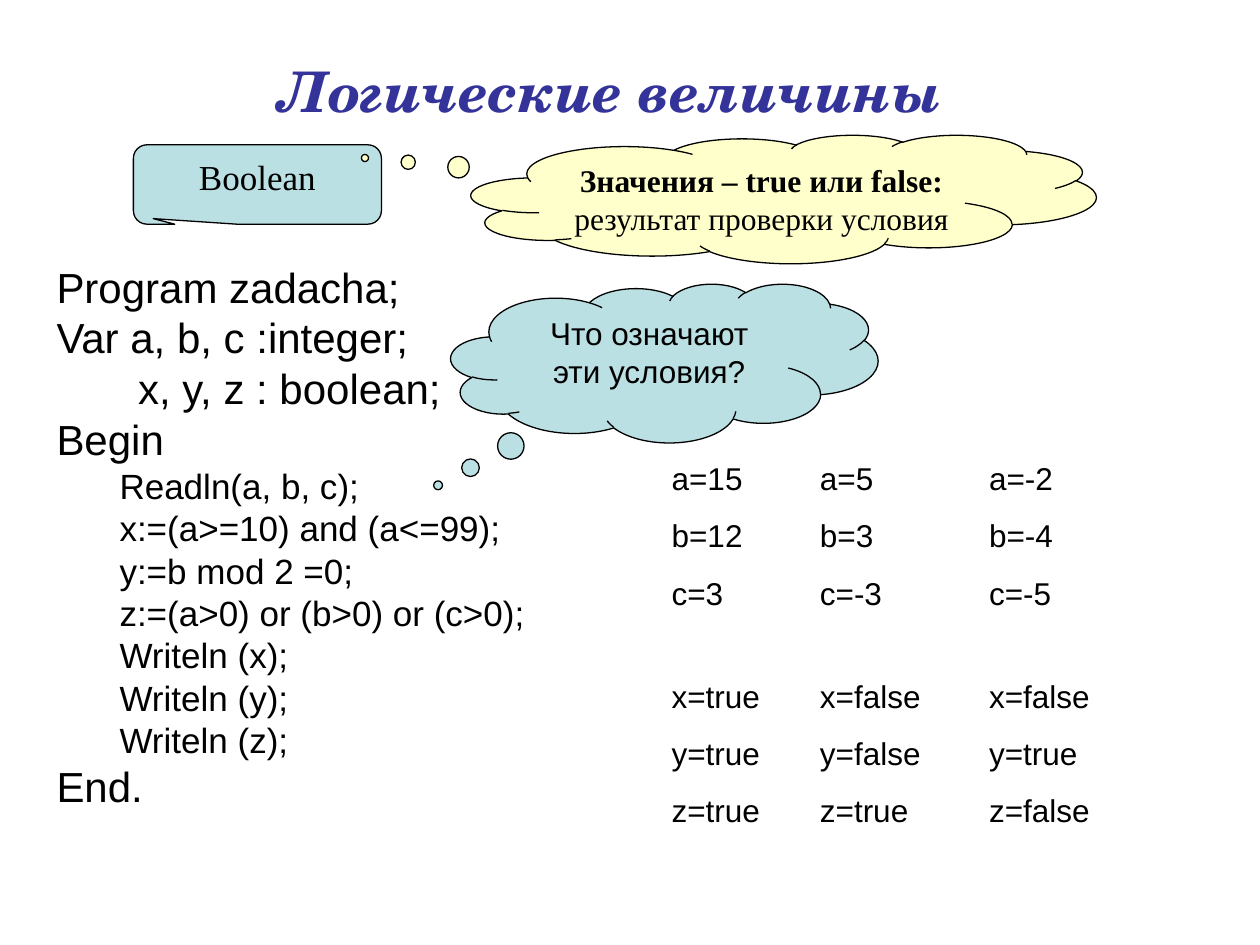
import dataclasses
import typing

import pptx
import pptx.dml.color
import pptx.enum.shapes
import pptx.enum.text
import pptx.util

Cm = pptx.util.Cm
Pt = pptx.util.Pt
ALIGN = pptx.enum.text.PP_ALIGN
ANCHOR = pptx.enum.text.MSO_ANCHOR
SHAPE = pptx.enum.shapes.MSO_SHAPE

BLACK, BLUE, YELLOW, INDIGO = "000000", "BBE0E3", "FFFFCC", "333399"


@dataclasses.dataclass
class Box:
    left: float
    top: float
    width: float
    height: float

    def lengths(self) -> list:
        return [Cm(value) for value in dataclasses.astuple(self)]


@dataclasses.dataclass
class Run:
    text: str
    size: float = 18
    font: str = "Arial"
    color: str = BLACK
    bold: bool = False
    italic: bool = False


@dataclasses.dataclass
class Line:
    runs: list[Run]
    layout: dict = dataclasses.field(default_factory=dict)
    margin: float = 0
    indent: float = 0


@dataclasses.dataclass
class Callout:
    kind: typing.Any
    box: Box
    fill: str
    adjustments: list[float]
    runs: list[Run]


def rgb(value: str) -> pptx.dml.color.RGBColor:
    return pptx.dml.color.RGBColor.from_string(value)


def apply(target: typing.Any, values: dict) -> None:
    for name, value in values.items():
        setattr(target, name, value)


def write_text(frame: typing.Any, lines: list[Line], **frame_format: typing.Any) -> None:
    apply(frame, {"word_wrap": True, "vertical_anchor": ANCHOR.TOP,
                  "margin_left": Cm(0.25), "margin_right": Cm(0.25),
                  "margin_top": Cm(0.13), "margin_bottom": Cm(0.13), **frame_format})
    for number, line in enumerate(lines):
        paragraph = frame.add_paragraph() if number else frame.paragraphs[0]
        apply(paragraph, line.layout)
        if number == 0:
            paragraph.space_before = Pt(0)
        if line.margin:
            properties = paragraph._p.get_or_add_pPr()
            properties.set("marL", str(Cm(line.margin)))
            properties.set("indent", str(Cm(line.indent)))
        for part in line.runs:
            run = paragraph.add_run()
            run.text = part.text
            apply(run.font, {"size": Pt(part.size), "name": part.font,
                             "bold": part.bold, "italic": part.italic})
            run.font.color.rgb = rgb(part.color)


def add_text(slide: typing.Any, box: Box, lines: list[Line], **frame_format: typing.Any) -> None:
    shape = slide.shapes.add_textbox(*box.lengths())
    write_text(shape.text_frame, lines, **frame_format)


def add_callout(slide: typing.Any, callout: Callout) -> None:
    shape = slide.shapes.add_shape(callout.kind, *callout.box.lengths())
    shape.shadow.inherit = False
    shape.fill.solid()
    shape.fill.fore_color.rgb = rgb(callout.fill)
    shape.line.color.rgb = rgb(BLACK)
    shape.line.width = Pt(0.75)
    for number, value in enumerate(callout.adjustments):
        shape.adjustments[number] = value
    write_text(shape.text_frame, [Line(callout.runs, {"alignment": ALIGN.CENTER})])


def outer_line(text: str) -> Line:
    return Line([Run(text, 24)], {"line_spacing": 0.8, "space_before": Pt(6)}, 0.97, -0.97)


def inner_line(text: str) -> Line:
    return Line([Run(text, 20)],
                {"level": 1, "line_spacing": 0.8, "space_before": Pt(5)}, 2.06, -0.79)


TITLE = Run("Логические величины", 32, "TeX Gyre Schola", INDIGO, True, True)

TYPE_CALLOUTS = [
    Callout(SHAPE.ROUNDED_RECTANGULAR_CALLOUT, Box(2.69, 2.92, 5, 1.6), BLUE,
            [-0.42, 0.43, 0.17], [Run("Boolean", 20, "Times New Roman")]),
    Callout(SHAPE.CLOUD_CALLOUT, Box(9.5, 2.72, 12.6, 2.59), YELLOW, [-0.67, -0.32],
            [Run("Значения – true или false:", font="Times New Roman", bold=True),
             Run(" результат проверки условия", font="Times New Roman")]),
]
QUESTION = Callout(SHAPE.CLOUD_CALLOUT, Box(9.09, 5.72, 8.61, 3.2), BLUE,
                   [-0.53, 0.77], [Run("Что означают эти условия?")])

DECLARATIONS = ["Program zadacha;", "Var a, b, c :integer;",
                "       x, y, z : boolean;", "Begin"]
STATEMENTS = ["Readln(a, b, c);", "x:=(a>=10) and (a<=99);", "y:=b mod 2 =0;",
              "z:=(a>0) or (b>0) or (c>0);", "Writeln (x);", "Writeln (y);", "Writeln (z);"]

# Left edge of each example, its inputs and its results
EXAMPLES = [
    (13.11, ["a=15", "b=12", "c=3"], ["x=true", "y=true", "z=true"]),
    (16.1, ["a=5", "b=3", "c=-3"], ["x=false", "y=false", "z=true"]),
    (19.51, ["a=-2", "b=-4", "c=-5"], ["x=false", "y=true", "z=false"]),
]
INPUT_TOP, RESULT_TOP = 9.12, 13.51


def main() -> None:
    presentation = pptx.Presentation()
    presentation.slide_width, presentation.slide_height = Cm(25.4), Cm(19.05)
    slide = presentation.slides.add_slide(presentation.slide_layouts[6])

    # Title and the type with its values
    add_text(slide, Box(1.7, 0.53, 21.23, 2.59),
             [Line([TITLE], {"alignment": ALIGN.CENTER})], vertical_anchor=ANCHOR.MIDDLE)
    for callout in TYPE_CALLOUTS:
        add_callout(slide, callout)

    # Program listing
    program = [*map(outer_line, DECLARATIONS), *map(inner_line, STATEMENTS), outer_line("End.")]
    add_text(slide, Box(0.89, 5.33, 10.36, 11.4), program)

    # Inputs above, results below
    for left, inputs, results in EXAMPLES:
        for top, values in ((INPUT_TOP, inputs), (RESULT_TOP, results)):
            lines = [Line([Run(value)], {"space_before": Pt(11.2)}) for value in values]
            add_text(slide, Box(left, top, 3.2, 3.35), lines, margin_left=Cm(0.43))

    # Question about the conditions
    add_callout(slide, QUESTION)

    presentation.save("out.pptx")


if __name__ == "__main__":
    main()
